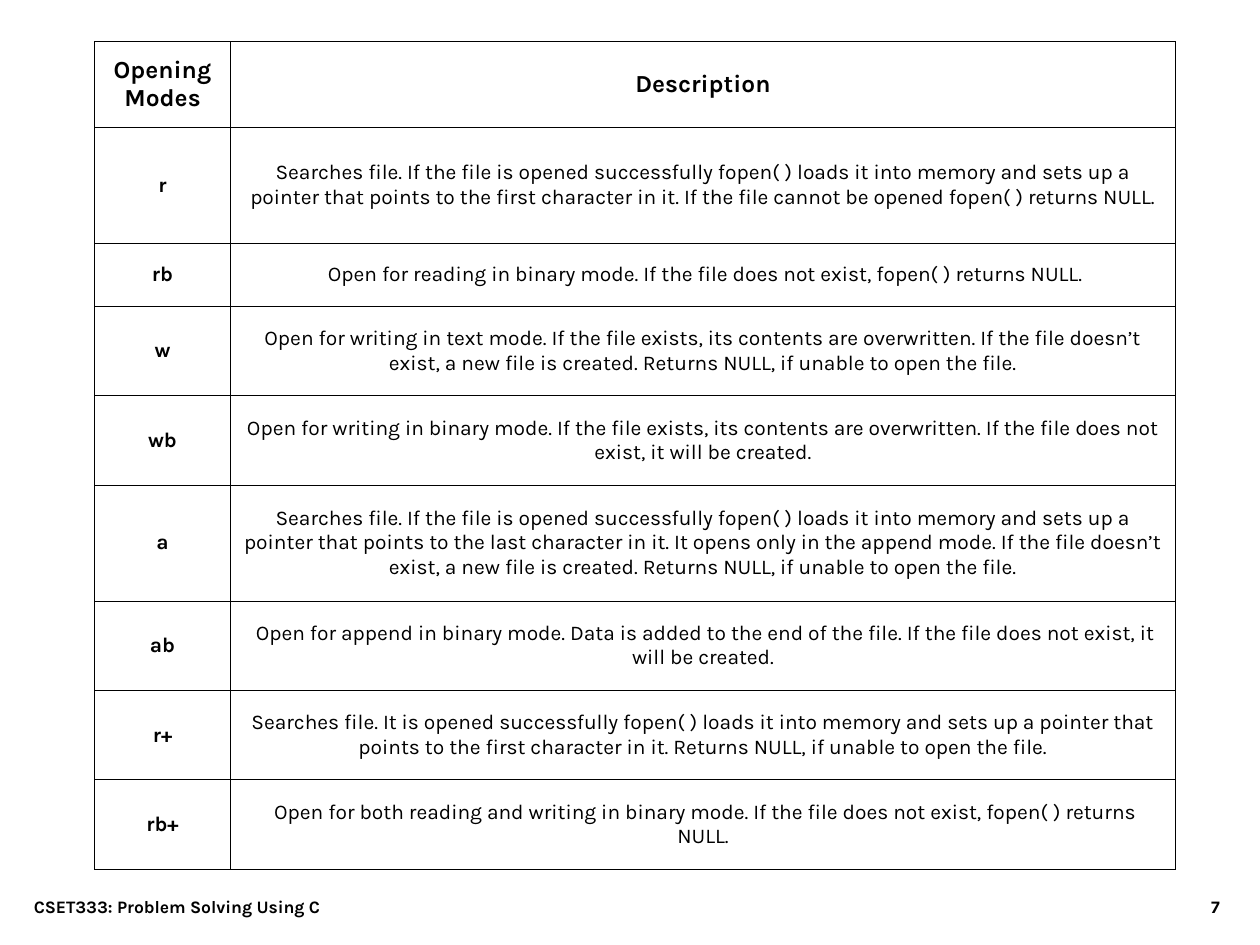
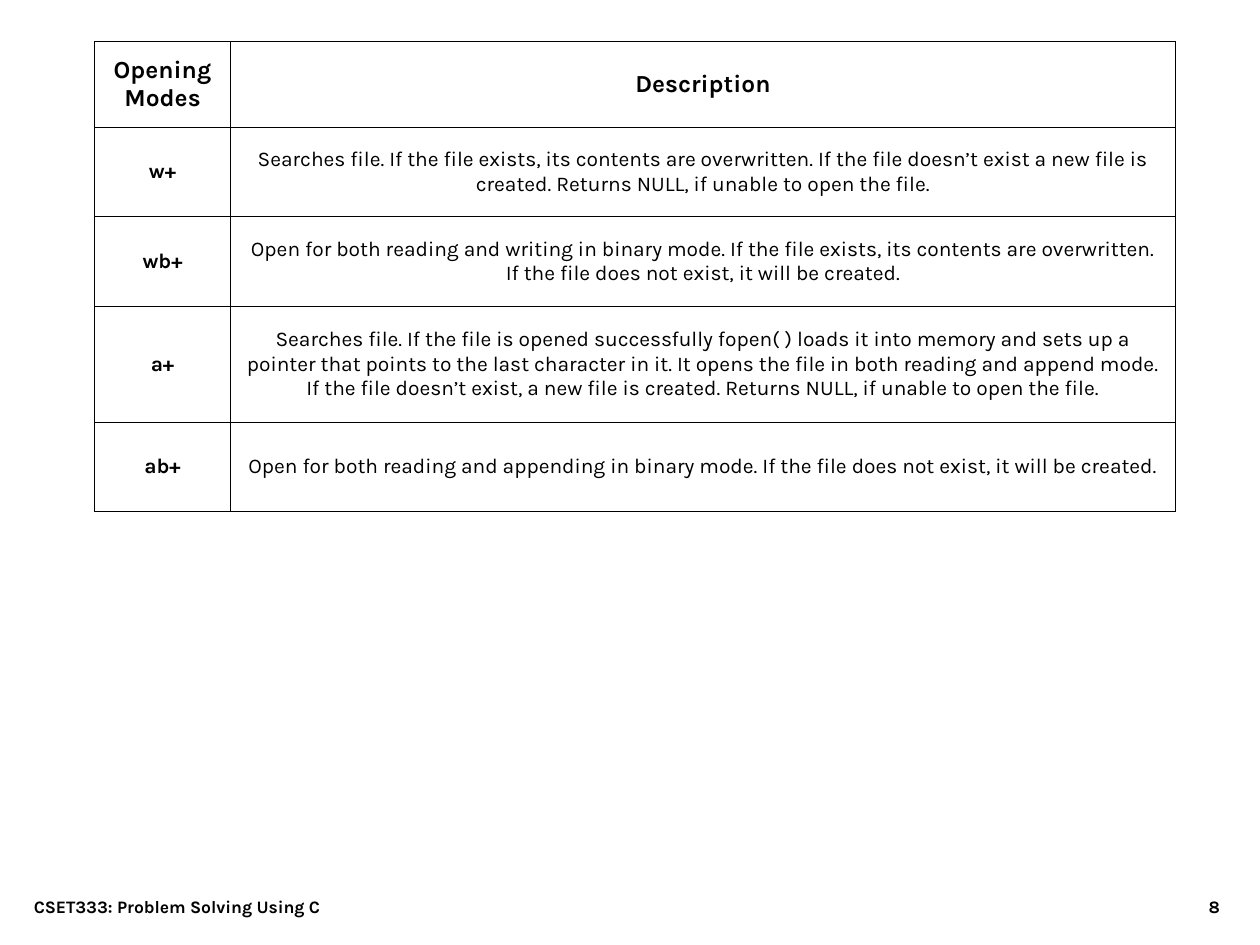
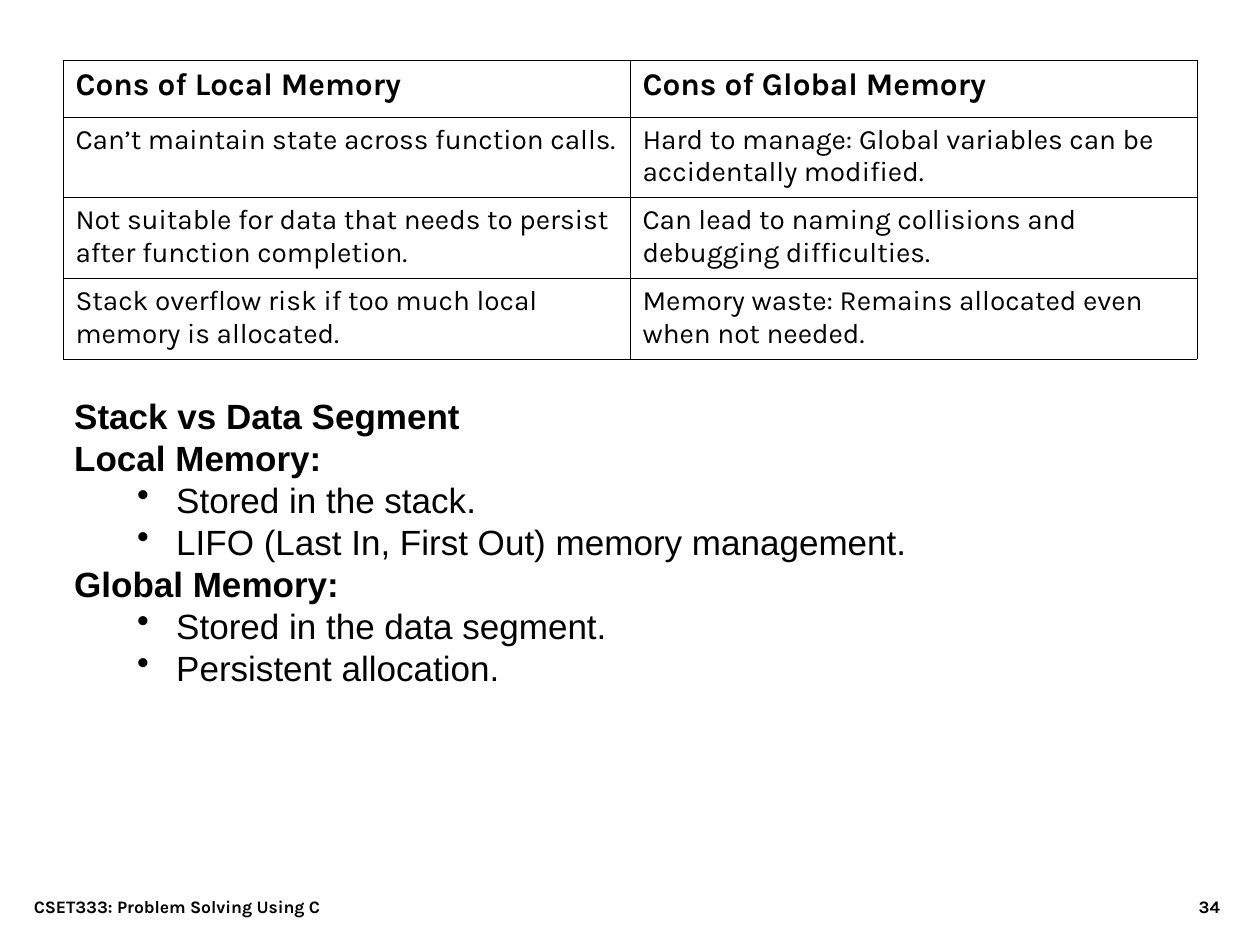
from lxml.etree import SubElement
from pptx import Presentation
from pptx.dml.color import RGBColor
from pptx.enum.text import MSO_ANCHOR, MSO_AUTO_SIZE, PP_ALIGN
from pptx.oxml.ns import qn
from pptx.util import Inches, Pt

# Content
COLORS = {"ink": "000000", "paper": "FFFFFF"}
COURSE = "CSET333: Problem Solving Using C"
HEAD = ("Opening Modes", "Description")
# Row heights by kind of row
HIGH = {"head": 0.68, "short": 0.5, "mid": 0.71, "tall": 0.92}

MODES = [
    (7, [
        ("tall", "r", "Searches file. If the file is opened successfully fopen( ) loads it into memory and sets up a pointer that points to the first character in it. If the file cannot be opened fopen( ) returns NULL."),
        ("short", "rb", " Open for reading in binary mode. If the file does not exist, fopen( ) returns NULL."),
        ("mid", "w", "Open for writing in text mode. If the file exists, its contents are overwritten. If the file doesn’t exist, a new file is created. Returns NULL, if unable to open the file."),
        ("mid", "wb", "Open for writing in binary mode. If the file exists, its contents are overwritten. If the file does not exist, it will be created."),
        ("tall", "a", "Searches file. If the file is opened successfully fopen( ) loads it into memory and sets up a pointer that points to the last character in it. It opens only in the append mode. If the file doesn’t exist, a new file is created. Returns NULL, if unable to open the file."),
        ("mid", "ab", " Open for append in binary mode. Data is added to the end of the file. If the file does not exist, it will be created."),
        ("mid", "r+", "Searches file. It is opened successfully fopen( ) loads it into memory and sets up a pointer that points to the first character in it. Returns NULL, if unable to open the file."),
        ("mid", "rb+", " Open for both reading and writing in binary mode. If the file does not exist, fopen( ) returns NULL."),
    ]),
    (8, [
        ("mid", "w+", "Searches file. If the file exists, its contents are overwritten. If the file doesn’t exist a new file is created. Returns NULL, if unable to open the file."),
        ("mid", "wb+", "Open for both reading and writing in binary mode. If the file exists, its contents are overwritten. If the file does not exist, it will be created."),
        ("tall", "a+", "Searches file. If the file is opened successfully fopen( ) loads it into memory and sets up a pointer that points to the last character in it. It opens the file in both reading and append mode. If the file doesn’t exist, a new file is created. Returns NULL, if unable to open the file."),
        ("mid", "ab+", "Open for both reading and appending in binary mode. If the file does not exist, it will be created."),
    ]),
]

CONS = [
    ("Cons of Local Memory", "Cons of Global Memory"),
    ("Can’t maintain state across function calls.", "Hard to manage: Global variables can be accidentally modified."),
    ("Not suitable for data that needs to persist after function completion.", "Can lead to naming collisions and debugging difficulties."),
    ("Stack overflow risk if too much local memory is allocated.", "Memory waste: Remains allocated even when not needed."),
]

STORES = [
    ("Stack vs Data Segment", []),
    ("Local Memory:", ["Stored in the stack.", "LIFO (Last In, First Out) memory management."]),
    ("Global Memory:", ["Stored in the data segment.", "Persistent allocation."]),
]


def write(para, text, size=12, bold=False, font="Karla", align=PP_ALIGN.LEFT, bullet=False):
    """Fill one paragraph with formatted text."""
    para.alignment = align
    if bullet:
        para.level = 1
        props = para._p.get_or_add_pPr()
        props.set("marL", str(Inches(0.81)))
        props.set("indent", str(Inches(-0.31)))
        tint = SubElement(props, qn("a:buClr"))
        SubElement(tint, qn("a:srgbClr"), val=COLORS["ink"])
        SubElement(props, qn("a:buChar"), char="•")
    run = para.add_run()
    run.text = text
    run.font.name = font
    run.font.size = Pt(size)
    run.font.bold = bold
    run.font.color.rgb = RGBColor.from_string(COLORS["ink"])


def add_box(slide, left, top, width, height, wrap=True):
    frame = slide.shapes.add_textbox(*map(Inches, (left, top, width, height))).text_frame
    frame.word_wrap = wrap
    return frame


def add_page(deck, number):
    """Add a blank slide with the course name and page number at its foot."""
    slide = deck.slides.add_slide(deck.slide_layouts[6])
    slide.background.fill.solid()
    slide.background.fill.fore_color.rgb = RGBColor.from_string(COLORS["paper"])
    for text, left, width, align in ((COURSE, 0.17, 5.67, PP_ALIGN.LEFT),
                                     (str(number), 7.7, 2.08, PP_ALIGN.RIGHT)):
        frame = add_box(slide, left, 6.83, width, 0.5)
        frame.vertical_anchor = MSO_ANCHOR.BOTTOM
        write(frame.paragraphs[0], text, size=10, bold=True, align=align)
    return slide


def frame_cell(cell):
    """Draw thin lines on all sides and leave the cell unfilled."""
    props = cell._tc.get_or_add_tcPr()
    for side in ("lnL", "lnR", "lnT", "lnB"):
        line = SubElement(props, qn(f"a:{side}"), w=str(Pt(0.45)))
        fill = SubElement(line, qn("a:solidFill"))
        SubElement(fill, qn("a:srgbClr"), val=COLORS["ink"])
    cell.fill.background()


def add_grid(slide, left, top, cols, highs, rows, sizes, keys=False, **style):
    """Add a ruled table; sizes are for head and body, keys makes column one bold."""
    anchor = MSO_ANCHOR.MIDDLE if keys else MSO_ANCHOR.TOP
    spot = map(Inches, (left, top, sum(cols), sum(highs)))
    table = slide.shapes.add_table(len(rows), len(cols), *spot).table
    table.first_row = table.horz_banding = False
    for col, width in zip(table.columns, cols):
        col.width = Inches(width)
    for row, high in zip(table.rows, highs):
        row.height = Inches(high)
    for r, row in enumerate(rows):
        for c, text in enumerate(row):
            cell = table.cell(r, c)
            frame_cell(cell)
            cell.vertical_anchor = anchor
            write(cell.text_frame.paragraphs[0], text, size=sizes[r > 0],
                  bold=r == 0 or (keys and c == 0), **style)
    return table


def main():
    deck = Presentation()
    deck.slide_width, deck.slide_height = Inches(10), Inches(7.5)

    # File opening modes
    for number, modes in MODES:
        slide = add_page(deck, number)
        highs = [HIGH["head"]] + [HIGH[kind] for kind, *_ in modes]
        rows = [HEAD] + [row for _, *row in modes]
        table = add_grid(slide, 0.75, 0.33, (1.08, 7.5), highs, rows, (14, 12),
                         keys=True, align=PP_ALIGN.CENTER)
        corner = table.cell(0, 0)
        corner.margin_left = corner.margin_right = Inches(0.04)

    # Local against global memory
    slide = add_page(deck, 34)
    highs = [0.45] + [0.64] * (len(CONS) - 1)
    add_grid(slide, 0.5, 0.48, (4.5, 4.5), highs, CONS, (18, 16))
    frame = add_box(slide, 0.49, 3.08, 6.81, 2.77, wrap=False)
    frame.auto_size = MSO_AUTO_SIZE.SHAPE_TO_FIT_TEXT
    lines = [(text, text == head) for head, points in STORES for text in (head, *points)]
    for i, (text, bold) in enumerate(lines):
        para = frame.add_paragraph() if i else frame.paragraphs[0]
        write(para, text, size=20, bold=bold, font="Arial", bullet=not bold)

    deck.save("out.pptx")


if __name__ == "__main__":
    main()
